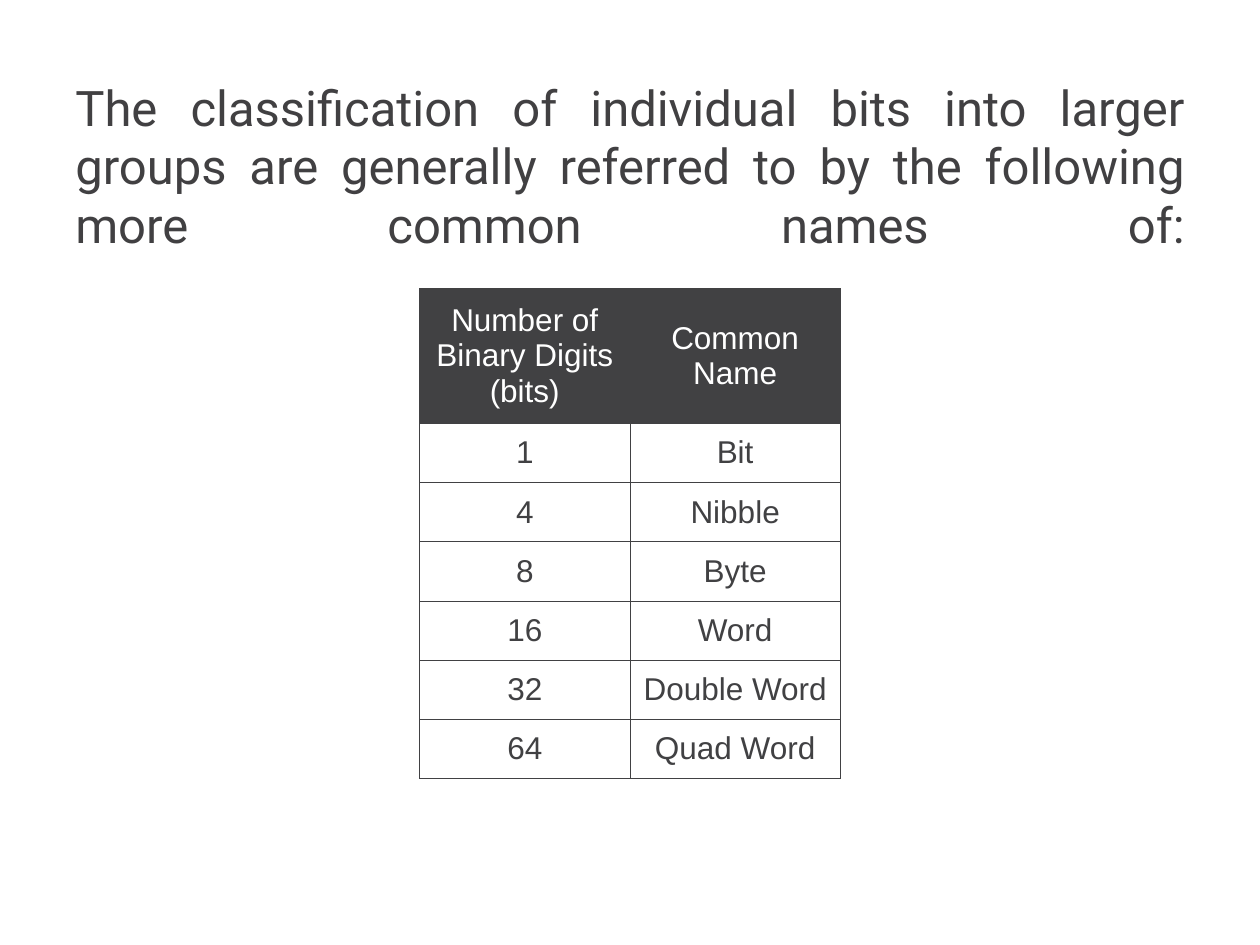
from copy import deepcopy
from typing import NamedTuple

from lxml import etree
from pptx import Presentation, util as u
from pptx.dml.color import RGBColor
from pptx.enum import text
from pptx.oxml import ns

DARK, WHITE = "414143", "FFFFFF"


class BitGroup(NamedTuple):
    bits: str
    name: str


HEADER = BitGroup("Number of Binary Digits (bits)", "Common Name")
GROUPS = [
    BitGroup("1", "Bit"),
    BitGroup("4", "Nibble"),
    BitGroup("8", "Byte"),
    BitGroup("16", "Word"),
    BitGroup("32", "Double Word"),
    BitGroup("64", "Quad Word"),
]


def rgb(value: str) -> RGBColor:
    return RGBColor.from_string(value)


def write(tf, content: str, *, size: float, font: str, color: str, align):
    tf.word_wrap = True
    p = tf.paragraphs[0]
    p.alignment = align
    r = p.add_run()
    r.text = content
    r.font.size = u.Pt(size)
    r.font.name = font
    r.font.color.rgb = rgb(color)
    return p


def justify_last_line(p) -> None:
    """End the paragraph with a line break so its last words also spread out."""
    props = p.runs[-1].font._element
    p.add_line_break()
    p._p[-1].append(deepcopy(props))
    end = etree.SubElement(p._p, ns.qn("a:endParaRPr"), dict(props.attrib))
    end.extend(deepcopy(child) for child in props)


def set_borders(cell, color: str, width: float) -> None:
    props = cell._tc.get_or_add_tcPr()
    for i, side in enumerate(("lnL", "lnR", "lnT", "lnB")):
        line = etree.Element(ns.qn(f"a:{side}"), w=str(int(u.Pt(width))))
        fill = etree.SubElement(line, ns.qn("a:solidFill"))
        etree.SubElement(fill, ns.qn("a:srgbClr"), val=color)
        props.insert(i, line)


def format_cell(cell, content: str, is_header: bool) -> None:
    cell.vertical_anchor = text.MSO_ANCHOR.MIDDLE
    cell.margin_left = cell.margin_right = u.Inches(0.04)
    cell.margin_top = cell.margin_bottom = u.Inches(0.05)
    if is_header:
        cell.fill.solid()
        cell.fill.fore_color.rgb = rgb(DARK)
    else:
        cell.fill.background()
    set_borders(cell, DARK, 0.28)
    write(cell.text_frame, content, size=18, font="Arial",
          color=WHITE if is_header else DARK, align=text.PP_ALIGN.CENTER)


def add_title(s, content: str) -> None:
    box = s.shapes.add_textbox(u.Inches(0.5), u.Inches(0.92), u.Inches(9), u.Inches(1.25))
    tf = box.text_frame
    tf.vertical_anchor = text.MSO_ANCHOR.MIDDLE
    p = write(tf, content, size=28, font="Roboto", color="414042",
              align=text.PP_ALIGN.JUSTIFY)
    justify_last_line(p)


def add_bit_table(s, rows: list[BitGroup]) -> None:
    frame = s.shapes.add_table(len(rows), 2, u.Inches(3.33), u.Inches(2.29),
                               u.Inches(3.34), u.Inches(3.87))
    table = frame.table
    table.first_row = table.horz_banding = False
    for column in table.columns:
        column.width = u.Inches(1.67)
    for i, group in enumerate(rows):
        table.rows[i].height = u.Inches(0.47 if i else 1.07)
        for j, content in enumerate(group):
            format_cell(table.cell(i, j), content, is_header=i == 0)


def main() -> None:
    prs = Presentation()
    prs.slide_width, prs.slide_height = u.Inches(10), u.Inches(7.5)
    s = prs.slides.add_slide(prs.slide_layouts[6])
    add_title(s, "The classification of individual bits into larger groups are "
                 "generally referred to by the following more common names of:")
    add_bit_table(s, [HEADER, *GROUPS])
    prs.save("out.pptx")


if __name__ == "__main__":
    main()
